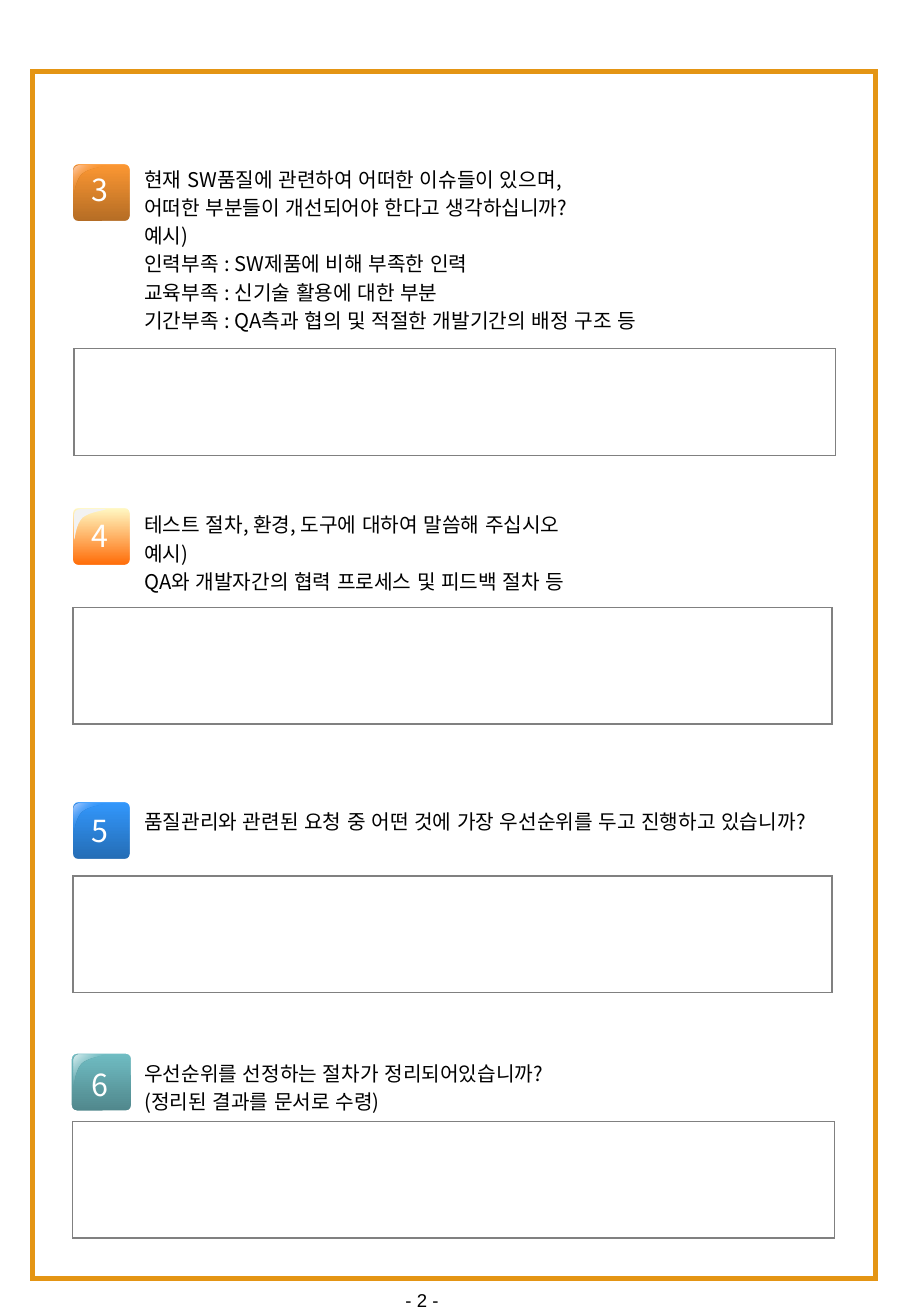
"""Build the second page of a software quality survey form."""
from lxml.etree import SubElement
from pptx import Presentation
from pptx.dml.color import RGBColor
from pptx.enum.shapes import MSO_SHAPE
from pptx.enum.text import MSO_ANCHOR, PP_ALIGN
from pptx.oxml.ns import qn
from pptx.util import Inches, Pt

ITEMS = [
    dict(num="3", badge=(0.58, 1.33, 0.51), tag=(0.64, 1.36), group=True,
         ask=(1.3, 1.73), box=(0.61, 2.87, 6.27, 0.88),
         lines=["현재 SW품질에 관련하여 어떠한 이슈들이 있으며, ",
                "어떠한 부분들이 개선되어야 한다고 생각하십니까?",
                "예시)",
                "인력부족 : SW제품에 비해 부족한 인력",
                "교육부족 : 신기술 활용에 대한 부분",
                "기간부족 : QA측과 협의 및 적절한 개발기간의 배정 구조 등"]),
    dict(num="4", badge=(0.58, 4.16, 0.51), tag=(0.64, 4.21), group=False,
         ask=(4.14, 0.8), box=(0.6, 5, 6.25, 0.96),
         lines=["테스트 절차, 환경, 도구에 대하여 말씀해 주십시오",
                "예시) ",
                "QA와 개발자간의 협력 프로세스 및 피드백 절차 등"]),
    dict(num="5", badge=(0.58, 6.58, 0.51), tag=(0.64, 6.63), group=True,
         ask=(6.58, 0.57), box=(0.6, 7.21, 6.25, 0.96),
         lines=["품질관리와 관련된 요청 중 어떤 것에 가장 우선순위를 두고 진행하고 있습니까?"]),
    dict(num="6", badge=(0.57, 8.65, 0.53), tag=(0.64, 8.72), group=True,
         ask=(8.65, 0.57), box=(0.6, 9.23, 6.27, 0.96),
         lines=["우선순위를 선정하는 절차가 정리되어있습니까? ",
                "(정리된 결과를 문서로 수령)"]),
]
THEME = dict(
    frame=("E49514", 3), edge=("808080", 0.75), rim=("FFFFFF", 3),
    ask=dict(name="Noto Sans CJK KR", size=Pt(12), color="000000"),
    num=dict(name="Noto Sans CJK KR", size=Pt(18), color="FFFFFF"),
    page=dict(name="Arial", size=Pt(11), color="000000"),
    east="Arial",
    badge={"3": ("FF9933", "B26B24"), "4": ("FFFFCC", "FF6600"),
           "5": ("3399FF", "246BB2"), "6": ("71BFC5", "4F858A")},
    gloss={"3": ("FFD0B7", "FF9933", 0, "FFD0B7"),
           "4": ("F2F2F2", "F2F2F2", 100, "D9D9D9"),
           "5": ("B7D0FF", "3399FF", 0, "B7D0FF"),
           "6": ("DDEFF0", "BBE0E3", 0, "DDEFF0")},
)
ASK = dict(alignment=PP_ALIGN.JUSTIFY, line_spacing=Pt(16.6))
MID = dict(alignment=PP_ALIGN.CENTER)
START = (0.05, 0)
PATH = [
    [(0.02, 0), (0, 0.02), (0, 0.05)],
    [(0, 0.25)],
    [(0.01, 0.25), (0.01, 0.13), (0.07, 0.07)],
    [(0.13, 0.02), (0.26, 0.01), (0.26, 0)],
]


def assign(item, values):
    for key, value in values.items():
        setattr(item, key, value)


def blend(fill, stops, angle):
    fill.gradient()
    fill.gradient_angle = angle
    rows = fill._fill._gradFill.find(qn("a:gsLst"))
    for old in list(rows):
        rows.remove(old)
    for place, color, alpha in stops:
        stop = SubElement(rows, qn("a:gs"), pos=str(place * 1000))
        tint = SubElement(stop, qn("a:srgbClr"), val=color)
        if alpha < 100:
            SubElement(tint, qn("a:alpha"), val=str(alpha * 1000))


def block(home, kind, area, style):
    shape = home.add_shape(kind, *map(Inches, area))
    shape.shadow.inherit = False
    shape.fill.background()
    color, width = style
    shape.line.color.rgb = RGBColor.from_string(color)
    shape.line.width = Pt(width)
    SubElement(shape.line._get_or_add_ln(), qn("a:miter"), lim="800000")
    return shape


def write(home, area, lines, font, para=None, frame=None):
    text = home.add_textbox(*map(Inches, area)).text_frame
    assign(text, {"word_wrap": True, **(frame or {})})
    for index, line in enumerate(lines):
        row = text.add_paragraph() if index else text.paragraphs[0]
        assign(row, para or {})
        run = row.add_run()
        run.text = line
        assign(run.font, {key: font[key] for key in ("name", "size")})
        run.font.color.rgb = RGBColor.from_string(font["color"])
        SubElement(run._r.get_or_add_rPr(), qn("a:ea"), typeface=THEME["east"])


def shine(home, left, top, colors):
    dots = [(Inches(left + x), Inches(top + y))
            for x, y in [START] + [part[-1] for part in PATH]]
    build = home.build_freeform(*dots[0])
    build.add_line_segments(dots[1:], close=True)
    shape = build.convert_to_shape()
    for edge, part in zip(list(shape._element.iter(qn("a:lnTo"))), PATH):
        if len(part) == 3:
            edge.tag = qn("a:cubicBezTo")
            edge.remove(edge[0])
            for x, y in part:
                SubElement(edge, qn("a:pt"), x=str(Inches(x)), y=str(Inches(y)))
    shape.shadow.inherit = False
    shape.line.fill.background()
    start, mid, alpha, end = colors
    blend(shape.fill, [(0, start, 100), (50, mid, alpha), (100, end, 100)], 315)


def badge(item):
    home = page.add_group_shape().shapes if item["group"] else page
    left, top, width = item["badge"]
    tile = block(home, MSO_SHAPE.ROUNDED_RECTANGLE, (left, top, width, 0.51),
                 THEME["rim"])
    tile.adjustments[0] = 0.12
    start, end = THEME["badge"][item["num"]]
    blend(tile.fill, [(0, start, 100), (100, end, 100)], 270)
    shine(home, 0.61, top + 0.03, THEME["gloss"][item["num"]])
    write(home, (*item["tag"], 0.36, 0.4), [item["num"]], THEME["num"], MID,
          dict(word_wrap=False, vertical_anchor=MSO_ANCHOR.MIDDLE))


deck = Presentation()
assign(deck, dict(slide_width=Inches(7.5), slide_height=Inches(10.83)))
page = deck.slides.add_slide(deck.slide_layouts[6]).shapes
block(page, MSO_SHAPE.RECTANGLE, (0.27, 0.59, 6.94, 9.93), THEME["frame"])
write(page, (3.24, 10.56, 1.06, 0.32), ["- 2 -"], THEME["page"])
for item in ITEMS:
    top, height = item["ask"]
    block(page, MSO_SHAPE.RECTANGLE, item["box"], THEME["edge"])
    badge(item)
    write(page, (1.09, top, 5.78, height), item["lines"], THEME["ask"], ASK)
deck.save("out.pptx")
